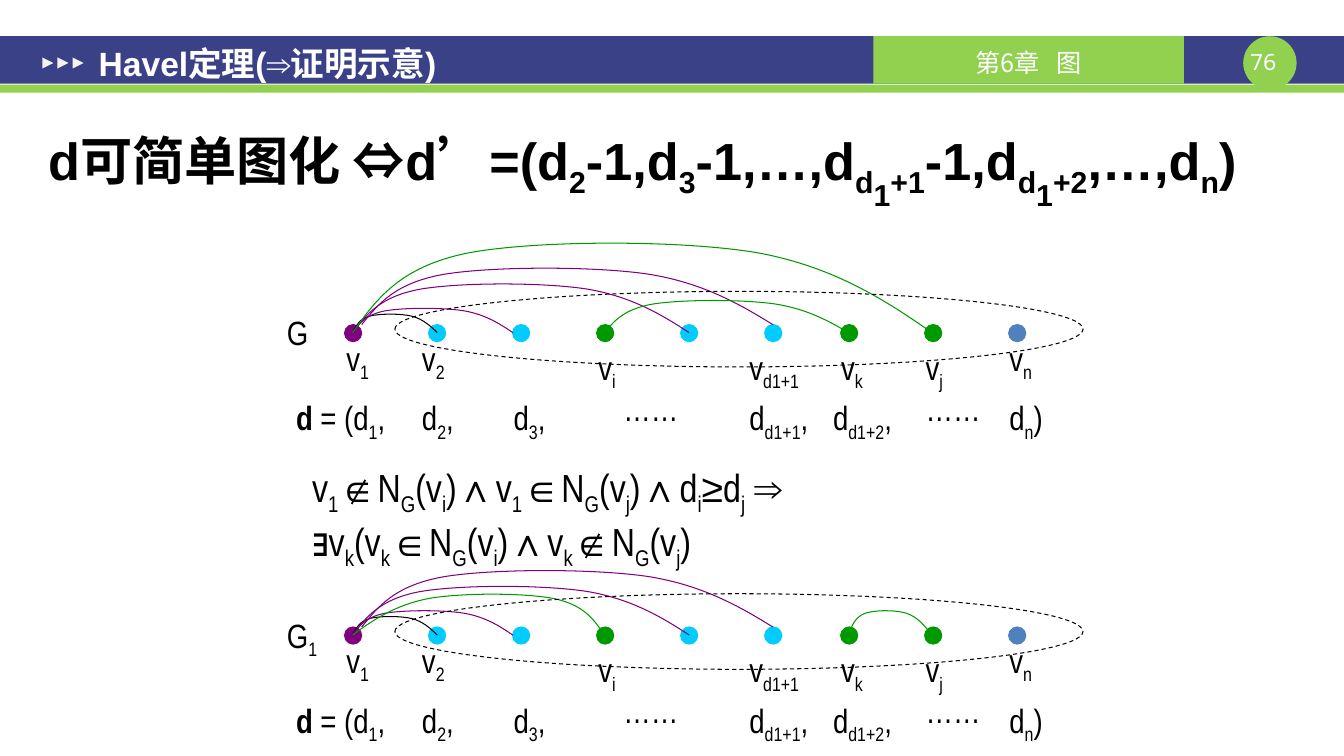
from pptx import Presentation
from pptx import util as u
from pptx.dml.color import RGBColor
from pptx.enum import dml, lang, shapes, text
from pptx.oxml import ns, xmlchemy

COLORS = {
    "navy": "3A4187", "lime": "92D050", "white": "FFFFFF", "mist": "F2F2F2",
    "black": "000000", "purple": "800080", "sky": "00CCFF", "green": "009900",
    "steel": "4F81BD",
}
ARC = [(0.04, 0.35), (0.08, 0.71), (0.2, 0.86), (0.32, 1), (0.57, 1),
       (0.7, 0.86), (0.83, 0.71), (0.92, 0.35), (1, 0)]


def rgb(name):
    return RGBColor.from_string(COLORS[name])


def add_run(p, content, size=24, font="Arial Narrow", color="black", bold=False, base=0):
    r = p.add_run()
    r.text = content
    f = r.font
    f.size, f.name, f.bold = u.Pt(size), font, bold
    f.color.rgb = rgb(color)
    f.language_id = lang.MSO_LANGUAGE_ID.SIMPLIFIED_CHINESE
    rpr = f._element
    ea = xmlchemy.OxmlElement("a:ea")
    ea.set("typeface", "Noto Sans CJK SC")
    rpr.find(ns.qn("a:latin")).addnext(ea)
    if base:
        rpr.set("baseline", str(base * 1000))


def write(tf, content, lead="", align=None, anchor=text.MSO_ANCHOR.TOP,
          margins=(0.1, 0.05, 0.1, 0.05), **style):
    tf.word_wrap = True
    tf.vertical_anchor = anchor
    tf.margin_left, tf.margin_top, tf.margin_right, tf.margin_bottom = map(u.Inches, margins)
    p = tf.paragraphs[0]
    p.alignment = align
    if lead:
        add_run(p, lead, **{**style, "bold": True})
    for i, level in enumerate(content.split("|")):
        for j, piece in enumerate(level.split("^")):
            if piece:
                add_run(p, piece, base=-50 if j % 2 else -25 * (i % 2), **style)


class Board:
    def __init__(self, s, line_width=0.75):
        self.s = s
        self.line_width = u.Pt(line_width)

    def outline(self, sp, color, dashed=False):
        sp.line.color.rgb = rgb(color)
        sp.line.width = self.line_width
        if dashed:
            sp.line.dash_style = dml.MSO_LINE.DASH

    def shape(self, kind, x, y, w, h, fill=None, line=None, dashed=False):
        sp = self.s.shapes.add_shape(kind, *map(u.Inches, (x, y, w, h)))
        sp.shadow.inherit = False
        if fill:
            sp.fill.solid()
            sp.fill.fore_color.rgb = rgb(fill)
        else:
            sp.fill.background()
        if line:
            self.outline(sp, line, dashed)
        else:
            sp.line.fill.background()
        return sp

    def label(self, x, y, w, h, content, **style):
        sp = self.s.shapes.add_textbox(*map(u.Inches, (x, y, w, h)))
        write(sp.text_frame, content, **style)

    def arc(self, x0, x1, y, rise, color):
        fb = self.s.shapes.build_freeform(u.Inches(x0), u.Inches(y))
        fb.add_line_segments([(u.Inches(x0 + (x1 - x0) * a), u.Inches(y - rise * b))
                              for a, b in ARC], close=False)
        sp = fb.convert_to_shape()
        sp.shadow.inherit = False
        sp.fill.background()
        self.outline(sp, color)
        segments = list(sp._element.iter(ns.qn("a:lnTo")))
        for i in range(0, len(segments), 3):
            curve = xmlchemy.OxmlElement("a:cubicBezTo")
            segments[i].addprevious(curve)
            for seg in segments[i:i + 3]:
                curve.append(seg[0])
                seg.getparent().remove(seg)

    def graph(self, top, name, arcs):
        dots = ["purple", "sky", "sky", "green", "sky", "sky", "green", "green", "steel"]
        for i, color in enumerate(dots):
            x = 3.42 + 0.834 * i - (0.08 if i > 5 else 0)
            self.shape(shapes.MSO_SHAPE.OVAL, x, top + 0.92, 0.17, 0.17, color, color)
        shared = [(3.5, 4.34, 1, 0.19, "black"), (3.5, 5.09, 1, 0.25, "purple"),
                  (3.59, 7.67, 0.92, 0.58, "purple"), (3.5, 6.84, 1, 0.5, "purple")]
        for x0, x1, y, rise, color in shared + arcs:
            self.arc(x0, x1, top + y, rise, color)
        self.shape(shapes.MSO_SHAPE.OVAL, 3.92, top + 0.59, 6.83, 0.75, None, "black", True)
        self.label(2.75, top + 0.75, 0.67, 0.5, name)
        vertices = [(3.34, 1, "1"), (4.09, 1, "2"), (5.84, 1.09, "i"), (7.34, 1.09, "d1+1"),
                    (8.25, 1.09, "k"), (9.09, 1.09, "j"), (9.92, 1, "n")]
        for x, y, sub in vertices:
            self.label(x, top + y, 1.08, 0.5, f"v|{sub}")
        self.label(2.84, top + 1.59, 1.17, 0.5, "= (d|1|,", lead="d ")
        degrees = [(4.09, "d|2|,"), (5, "d|3|,"), (7.34, "d|d1+1|,"),
                   (8.17, "d|d1+2|,"), (9.92, "d|n|)")]
        for x, degree in degrees:
            self.label(x, top + 1.59, 1.08, 0.5, degree)
        for x in (6.09, 9.09):
            self.label(x, top + 1.5, 0.83, 0.5, "……")

    def header(self):
        rect = shapes.MSO_SHAPE.RECTANGLE
        center, middle = text.PP_ALIGN.CENTER, text.MSO_ANCHOR.MIDDLE
        self.shape(rect, 0, 0.36, 13.34, 0.47, "navy")
        self.shape(rect, 0, 0.84, 13.34, 0.08, "lime")
        self.shape(shapes.MSO_SHAPE.OVAL, 12.34, 0.36, 0.53, 0.53, "lime")
        self.label(12.34, 0.48, 0.53, 0.27, "76 ", align=center, margins=(0, 0, 0, 0),
                   size=16, font="Noto Sans Mono", color="white")
        chapter = self.shape(rect, 8.67, 0.36, 3.08, 0.47, "lime")
        write(chapter.text_frame, "第6章   图", align=center, anchor=middle,
              margins=(0.1, 0.04, 0.1, 0), size=18, font="Noto Sans CJK SC", color="white")
        for i in range(3):
            sp = self.shape(shapes.MSO_SHAPE.ISOSCELES_TRIANGLE,
                            0.42 + 0.15 * i, 0.57, 0.11, 0.11, "mist")
            sp.rotation = 90
        self.label(0.85, 0.39, 5.83, 0.47, "Havel定理(⇒证明示意)", anchor=middle,
                   margins=(0.13, 0.07, 0.13, 0.07), font="Arial", color="white", bold=True)


def main():
    prs = Presentation()
    prs.slide_width, prs.slide_height = u.Inches(13.34), u.Inches(7.5)
    board = Board(prs.slides.add_slide(prs.slide_layouts[6]))
    board.header()
    board.graph(2.3, "G", [(3.5, 9.25, 1, 0.92, "green"), (6, 8.42, 1, 0.33, "green")])
    board.graph(5.3, "G|1", [(8.42, 9.25, 1, 0.25, "green"), (6, 3.5, 1, 0.42, "green")])
    board.label(3, 4.55, 8.34, 0.57,
                "v|1|∉N|G|(v|i|)∧v|1|∈N|G|(v|j|)∧d|i|≥d|j| ⇒ "
                "∃v|k|(v|k|∈N|G|(v|i|)∧v|k|∉N|G|(v|j|)", size=28)
    board.label(0.38, 1.22, 12.91, 0.73,
                "d可简单图化 ⇔d’=(d|2|-1,d|3|-1,…,d|d^1^+1|-1,d|d^1^+2|,…,d|n|)",
                size=37.3, font="Arial", bold=True)
    prs.save("out.pptx")


if __name__ == "__main__":
    main()
